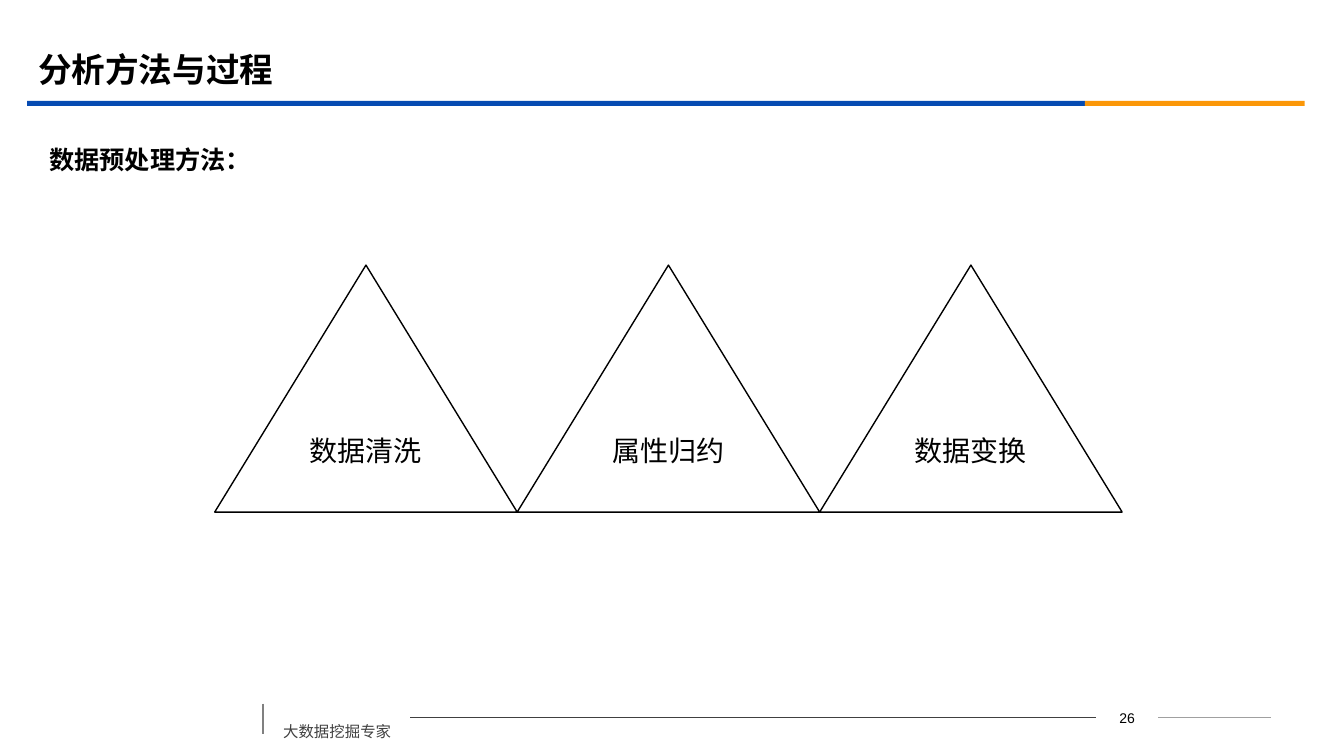
"""Build the slide on data preprocessing methods."""
from dataclasses import dataclass

import lxml.etree
import pptx
import pptx.dml.color
import pptx.enum.shapes
import pptx.enum.text
import pptx.oxml.ns
import pptx.util

PX = 9144
CJK_FONT = "Noto Sans CJK SC"
COLORS = {
    "black": "000000",
    "blue": "064BB2",
    "orange": "FB9708",
    "footer_text": "404040",
    "footer_rule": "404040",
    "divider": "808080",
    "short_rule": "A0A0A0",
}
SHAPE = pptx.enum.shapes.MSO_SHAPE
ALIGN = pptx.enum.text.PP_ALIGN
ANCHOR = pptx.enum.text.MSO_ANCHOR


@dataclass
class Box:
    left: int
    top: int
    width: int
    height: int

    def emu(self) -> tuple[int, int, int, int]:
        return self.left * PX, self.top * PX, self.width * PX, self.height * PX


@dataclass
class Style:
    size: int
    font: str = CJK_FONT
    color: str = "black"
    bold: bool = False
    align: ALIGN = ALIGN.LEFT
    anchor: ANCHOR = ANCHOR.TOP
    line_spacing: float = 1.0


@dataclass
class Label:
    text: str
    box: Box
    style: Style


@dataclass
class Bar:
    box: Box
    color: str


@dataclass
class Rule:
    start: tuple[int, int]
    end: tuple[int, int]
    color: str
    weight: float


LABELS = [
    Label("26", Box(1087, 699, 62, 25), Style(10, "Arial", align=ALIGN.CENTER)),
    Label("大数据挖掘专家", Box(271, 702, 136, 30),
          Style(11, color="footer_text", line_spacing=1.5)),
    Label("分析方法与过程", Box(28, 39, 1200, 58),
          Style(24, bold=True, anchor=ANCHOR.MIDDLE)),
    Label("数据预处理方法：", Box(39, 123, 1193, 538),
          Style(18, bold=True, line_spacing=1.5)),
]
BARS = [
    Bar(Box(27, 100, 1049, 5), "blue"),
    Bar(Box(1076, 100, 218, 5), "orange"),
]
RULES = [
    Rule((1149, 712), (1261, 712), "short_rule", 0.75),
    Rule((407, 712), (1087, 712), "footer_rule", 0.75),
    Rule((261, 698), (261, 728), "divider", 1.25),
]
METHODS = ["数据清洗", "属性归约", "数据变换"]
FIRST_TRIANGLE = Box(213, 263, 300, 245)
TRIANGLE_STYLE = Style(20, "Calibri", align=ALIGN.CENTER, anchor=ANCHOR.MIDDLE)


def rgb(name: str) -> pptx.dml.color.RGBColor:
    return pptx.dml.color.RGBColor.from_string(COLORS[name])


def write(shape, text: str, style: Style) -> None:
    frame = shape.text_frame
    frame.text = text
    frame.word_wrap = True
    frame.vertical_anchor = style.anchor
    paragraph = frame.paragraphs[0]
    paragraph.alignment = style.align
    paragraph.line_spacing = style.line_spacing
    run = paragraph.runs[0]
    run.font.size = pptx.util.Pt(style.size)
    run.font.name = style.font
    run.font.bold = style.bold
    run.font.color.rgb = rgb(style.color)
    east_asian = lxml.etree.SubElement(run.font._element, pptx.oxml.ns.qn("a:ea"))
    east_asian.set("typeface", CJK_FONT)


def draw_label(slide, label: Label) -> None:
    write(slide.shapes.add_textbox(*label.box.emu()), label.text, label.style)


def draw_bar(slide, bar: Bar) -> None:
    shape = slide.shapes.add_shape(SHAPE.RECTANGLE, *bar.box.emu())
    shape.shadow.inherit = False
    shape.fill.solid()
    shape.fill.fore_color.rgb = rgb(bar.color)
    shape.line.fill.background()


def draw_rule(slide, rule: Rule) -> None:
    ends = [value * PX for value in rule.start + rule.end]
    connector = slide.shapes.add_connector(
        pptx.enum.shapes.MSO_CONNECTOR.STRAIGHT, *ends)
    connector.line.color.rgb = rgb(rule.color)
    connector.line.width = pptx.util.Pt(rule.weight)
    lxml.etree.SubElement(
        connector._element.spPr, pptx.oxml.ns.qn("a:effectLst"))


def draw_triangle(slide, box: Box, text: str) -> None:
    shape = slide.shapes.add_shape(SHAPE.ISOSCELES_TRIANGLE, *box.emu())
    shape.shadow.inherit = False
    shape.fill.background()
    shape.line.color.rgb = rgb("black")
    shape.line.width = pptx.util.Pt(1)
    write(shape, text, TRIANGLE_STYLE)


def main() -> None:
    presentation = pptx.Presentation()
    presentation.slide_width = 1333 * PX
    presentation.slide_height = 750 * PX
    slide = presentation.slides.add_slide(presentation.slide_layouts[6])
    for rule in RULES:
        draw_rule(slide, rule)
    for bar in BARS:
        draw_bar(slide, bar)
    for label in LABELS:
        draw_label(slide, label)
    first = FIRST_TRIANGLE
    for index, method in enumerate(METHODS):
        left = first.left + index * first.width
        draw_triangle(slide, Box(left, first.top, first.width, first.height), method)
    presentation.save("out.pptx")


if __name__ == "__main__":
    main()
